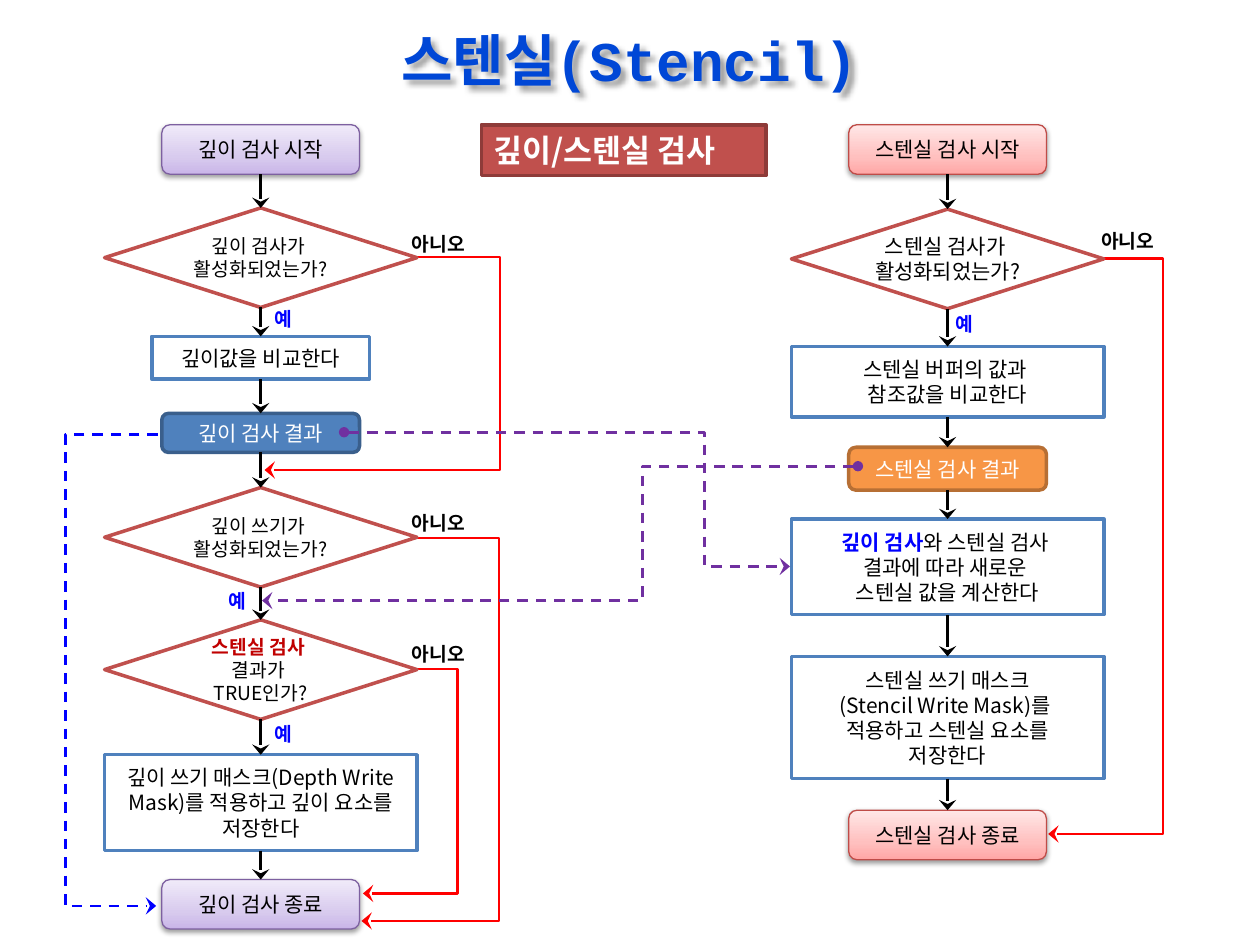
"""Build a slide with the flow charts of the depth and stencil tests."""
from copy import deepcopy
from dataclasses import dataclass
from itertools import pairwise
from typing import NamedTuple

from lxml import etree
from pptx import Presentation
from pptx import util as u
from pptx.dml.color import RGBColor
from pptx.enum import dml, shapes, text
from pptx.oxml import ns

Pt = u.Pt
FONT = "Noto Sans CJK KR"
BLACK = RGBColor(0, 0, 0)
WHITE = RGBColor(0xFF, 0xFF, 0xFF)
BLUE = RGBColor(0, 0, 0xFF)
RED = RGBColor(0xFF, 0, 0)
DARK = RGBColor(0xC0, 0, 0)
PURPLE = RGBColor(0x70, 0x30, 0xA0)
ROYAL = RGBColor(0x00, 0x47, 0xD6)
STEEL = RGBColor(0x4F, 0x81, 0xBD)
NAVY = RGBColor(0x3A, 0x5F, 0x8C)
BRICK = RGBColor(0xC0, 0x50, 0x4D)
WINE = RGBColor(0x8E, 0x3B, 0x39)
ORANGE = RGBColor(0xF7, 0x96, 0x46)
BROWN = RGBColor(0xB7, 0x6F, 0x34)
VIOLET = RGBColor(0x7D, 0x60, 0xA0)
CORAL = RGBColor(0xBF, 0x4C, 0x48)
LILAC = (RGBColor(0xC9, 0xB5, 0xE8), RGBColor(0xD8, 0xCB, 0xEE), RGBColor(0xF0, 0xEA, 0xF9))
PINK = (RGBColor(0xFF, 0xA6, 0xA5), RGBColor(0xFF, 0xC0, 0xBF), RGBColor(0xFF, 0xE7, 0xE7))

KIND = shapes.MSO_SHAPE
ROUND = KIND.FLOWCHART_ALTERNATE_PROCESS
LEFT, CENTER, RIGHT = text.PP_ALIGN.LEFT, text.PP_ALIGN.CENTER, text.PP_ALIGN.RIGHT


@dataclass(frozen=True)
class Style:
    kind: int
    width: float
    fill: tuple
    edge: RGBColor
    ink: RGBColor = BLACK
    line: float = 2
    pad: tuple = (7.2, 3.6)


class Bit(NamedTuple):
    words: str
    ink: RGBColor | None = None


class Node(NamedTuple):
    style: Style
    top: float
    height: float
    rows: tuple
    size: float = 12


class Label(NamedTuple):
    left: float
    top: float
    width: float
    words: str
    ink: RGBColor
    pad: float
    align: int = LEFT


class Bend(NamedTuple):
    start: tuple
    mid: float
    end: tuple
    ink: RGBColor
    dash: bool = False
    dot: bool = False


DEPTH = Style(ROUND, 113, LILAC, VIOLET, line=0.75)
STENCIL = Style(ROUND, 113, PINK, CORAL, line=0.75)
TEST = Style(KIND.FLOWCHART_DECISION, 178.5, (WHITE,), BRICK, pad=(0, 3.6))
STEP = Style(KIND.RECTANGLE, 178.5, (WHITE,), STEEL, pad=(8.6, 5.8))
SLIM = Style(KIND.RECTANGLE, 124.5, (WHITE,), STEEL, pad=(8.6, 2.9))
DONE = Style(ROUND, 113, (STEEL,), NAVY, WHITE)
MARK = Style(ROUND, 113, (ORANGE,), BROWN, WHITE)
BANNER = Style(KIND.RECTANGLE, 162.7, (BRICK,), WINE, WHITE)


def plain(*lines: str) -> tuple:
    """Make one row of one bit for each line."""
    return tuple((Bit(line),) for line in lines)


FLOWS = {
    149: (
        Node(DEPTH, 71.3, 28.3, plain("깊이 검사 시작")),
        Node(TEST, 118.8, 56.9, plain("깊이 검사가 ", "활성화되었는가?"), 11),
        Node(SLIM, 192.2, 24.5, plain("깊이값을 비교한다")),
        Node(DONE, 236.2, 22.3, plain("깊이 검사 결과")),
        Node(TEST, 278.6, 56.9, plain("깊이 쓰기가 ", "활성화되었는가?"), 11),
        Node(TEST, 354.2, 56.9,
             ((Bit("스텐실 검사 ", DARK),), *plain("결과가 ", "TRUE인가?")), 11),
        Node(STEP, 431.3, 54.7,
             plain("깊이 쓰기 매스크(Depth Write Mask)를 적용하고 깊이 요소를 저장한다")),
        Node(DEPTH, 502.6, 28.3, plain("깊이 검사 종료")),
    ),
    541.5: (
        Node(STENCIL, 71.3, 28.3, plain("스텐실 검사 시작")),
        Node(TEST, 119.5, 56.9, plain("스텐실 검사가 ", "활성화되었는가?")),
        Node(STEP, 198, 40.3, plain("스텐실 버퍼의 값과 ", "참조값을 비교한다")),
        Node(MARK, 255.6, 24.5, plain("스텐실 검사 결과")),
        Node(STEP, 296.6, 54.7,
             ((Bit("깊이 검사", BLUE), Bit("와 스텐실 검사 ")),
              *plain("결과에 따라 새로운 ", "스텐실 값을 계산한다"))),
        Node(STEP, 375.1, 69.8, plain("스텐실 쓰기 매스크", "(Stencil Write Mask)를 ",
                                      "적용하고 스텐실 요소를 저장한다")),
        Node(STENCIL, 463, 28.3, plain("스텐실 검사 종료")),
    ),
}
LABELS = [Label(x, y, 52, "아니오", BLACK, 7.2)
          for x, y in ((228.2, 128.9), (228.2, 288.7), (228.2, 363.6), (622.1, 127.4))]
LABELS += [Label(x, y, 29.5, "예", BLUE, 2.9, side)
           for x, y, side in ((154.1, 172.1, LEFT), (113.8, 333.4, RIGHT),
                              (154.1, 409, LEFT), (542.9, 175, LEFT))]
BACK = (
    Bend((100.8, 248.4), 37.4, (89.3, 517.7), BLUE, dash=True),
    Bend((123.1, 146.9), 285.8, (151.2, 268.6), RED),
    Bend((190.1, 307.4), 285.1, (206.6, 526.3), RED),
    Bend((195.8, 382.3), 261.4, (207.4, 510.5), RED),
    Bend((584.6, 147.6), 664.6, (599, 476.6), RED),
)
FRONT = (
    Bend((490.3, 266.4), 367.2, (149.8, 343.2), PURPLE, True, True),
    Bend((196.6, 247), 402.5, (451.4, 323.7), PURPLE, True, True),
)


def add(root, tag: str, **attrs):
    """Append a DrawingML element."""
    return etree.SubElement(root, ns.qn(tag), {k: str(v) for k, v in attrs.items()})


def shade(shape, blur: float, dist: float, angle: int) -> None:
    """Give a shape a soft outer shadow."""
    shape.shadow.inherit = False
    root = shape._element.spPr.find(ns.qn("a:effectLst"))
    drop = add(root, "a:outerShdw", blurRad=Pt(blur), dist=Pt(dist),
               dir=angle * 60000, rotWithShape=0)
    add(add(drop, "a:srgbClr", val="000000"), "a:alpha", val=38000)


def write(para, words: str, size: float, ink: RGBColor, bold: bool, face: str = FONT) -> None:
    """Add one formatted run."""
    run = para.add_run()
    run.text = words
    font = run.font
    font.size, font.bold, font.name = Pt(size), bold, face
    font.color.rgb = ink
    add(run._r.get_or_add_rPr(), "a:ea", typeface=FONT)


def inset(frame, side: float, edge: float) -> None:
    """Set the margins and wrap the text."""
    frame.margin_left = frame.margin_right = Pt(side)
    frame.margin_top = frame.margin_bottom = Pt(edge)
    frame.word_wrap = True


def paint(shape, hues: tuple) -> None:
    """Fill with one colour, or with a gradient of three."""
    if len(hues) == 1:
        shape.fill.solid()
        shape.fill.fore_color.rgb = hues[0]
        return
    shape.fill.gradient()
    stops = shape._element.spPr.find(".//" + ns.qn("a:gsLst"))
    stops.append(deepcopy(stops[0]))
    for stop, hue, place in zip(shape.fill.gradient_stops, hues, (0, 0.35, 1)):
        stop.color.rgb, stop.position = hue, place
    shape.fill.gradient_angle = 90
    shade(shape, 3.1, 1.6, 90)


def draw(slide, axis: float, node: Node, align: int = CENTER, bold: bool = False):
    """Draw a node centred on a vertical axis."""
    style = node.style
    shape = slide.shapes.add_shape(style.kind, Pt(axis - style.width / 2), Pt(node.top),
                                   Pt(style.width), Pt(node.height))
    shape.shadow.inherit = False
    paint(shape, style.fill)
    shape.line.color.rgb, shape.line.width = style.edge, Pt(style.line)
    frame = shape.text_frame
    inset(frame, *style.pad)
    frame.vertical_anchor = text.MSO_ANCHOR.MIDDLE
    for i, row in enumerate(node.rows):
        para = frame.add_paragraph() if i else frame.paragraphs[0]
        para.alignment = align
        for bit in row:
            write(para, bit.words, node.size, bit.ink or style.ink, bold or bit.ink is not None)
    return shape


def trace(slide, kind: int, start: tuple, end: tuple, ink: RGBColor,
          dash: bool = False, dot: bool = False):
    """Draw a connector with an arrowhead."""
    wire = slide.shapes.add_connector(kind, *map(Pt, (*start, *end)))
    wire.line.color.rgb, wire.line.width = ink, Pt(1.5)
    if dash:
        wire.line.dash_style = dml.MSO_LINE.DASH
    line = wire.line._get_or_add_ln()
    if dot:
        add(line, "a:headEnd", type="oval")
    add(line, "a:tailEnd", type="stealth", w="lg", len="med")
    add(wire._element.spPr, "a:effectLst")
    return wire


def bend(slide, way: Bend) -> None:
    """Draw an elbow whose upright part stands at way.mid."""
    wire = trace(slide, shapes.MSO_CONNECTOR.ELBOW, way.start, way.end, way.ink, way.dash, way.dot)
    ratio = (way.mid - way.start[0]) / (way.end[0] - way.start[0])
    guides = wire._element.spPr.find(".//" + ns.qn("a:avLst"))
    add(guides, "a:gd", name="adj1", fmla=f"val {round(ratio * 100000)}")


def note(slide, label: Label) -> None:
    """Draw a branch label."""
    box = slide.shapes.add_textbox(*map(Pt, (label.left, label.top, label.width, 20.9)))
    inset(box.text_frame, label.pad, 3.6)
    para = box.text_frame.paragraphs[0]
    para.alignment = label.align
    write(para, label.words, 11, label.ink, True)


def main() -> None:
    """Build and save the slide."""
    deck = Presentation()
    deck.slide_width, deck.slide_height = Pt(720), Pt(540)
    slide = deck.slides.add_slide(deck.slide_layouts[5])
    title = slide.shapes.title
    title.left, title.top, title.width, title.height = map(Pt, (0, 0, 720, 67.7))
    title.text_frame.vertical_anchor = text.MSO_ANCHOR.MIDDLE
    head = title.text_frame.paragraphs[0]
    head.alignment = CENTER
    write(head, "스텐실(Stencil)", 32, ROYAL, True, "Courier New")
    shade(title, 3, 3, 45)

    for way in BACK:
        bend(slide, way)
    for axis, flow in FLOWS.items():
        nodes = [draw(slide, axis, node) for node in flow]
        for upper, lower in pairwise(nodes):
            wire = trace(slide, shapes.MSO_CONNECTOR.STRAIGHT, (0, 0), (0, 0), BLACK)
            wire.begin_connect(upper, 2)
            wire.end_connect(lower, 0)
    for label in LABELS:
        note(slide, label)
    for way in FRONT:
        bend(slide, way)
    draw(slide, 356.4, Node(BANNER, 71.3, 29, plain("깊이/스텐실 검사"), 18), LEFT, True)
    deck.save("out.pptx")


if __name__ == "__main__":
    main()
